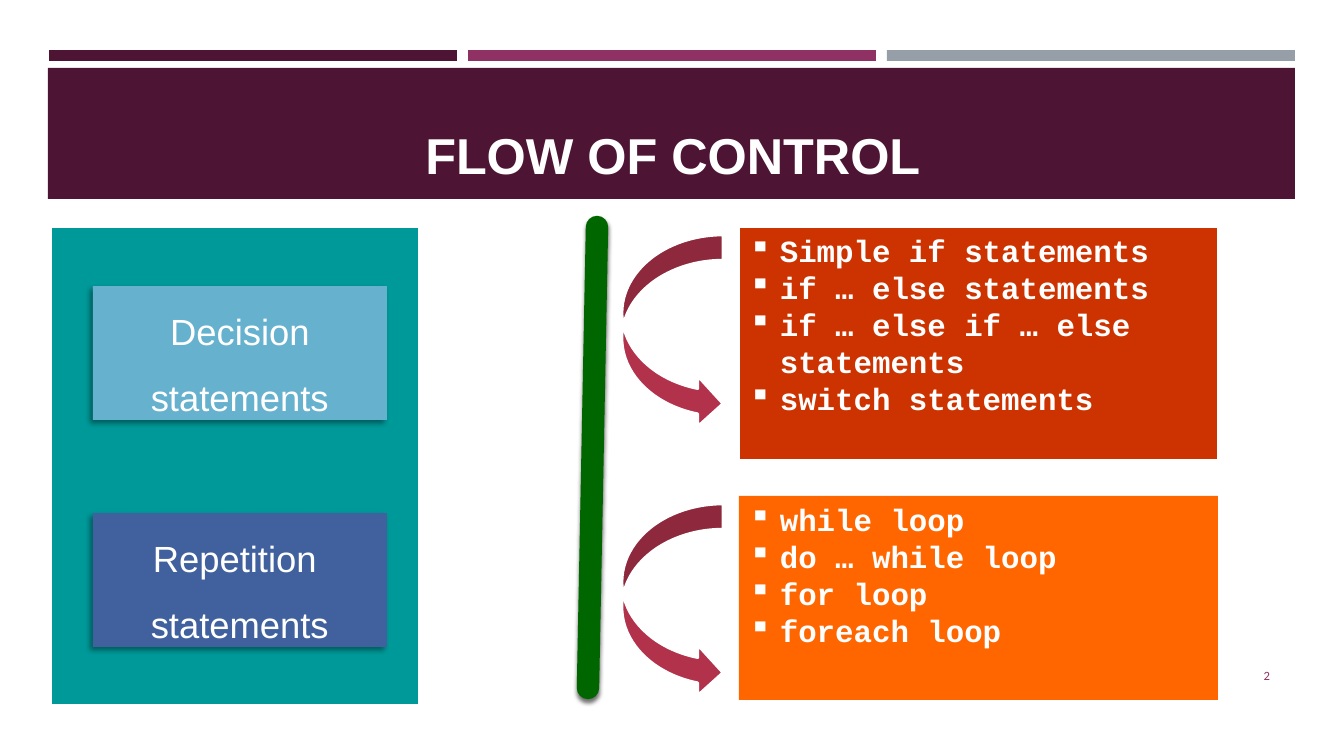
from dataclasses import dataclass

import pptx
import pptx.dml.color
import pptx.enum.shapes
import pptx.enum.text
import pptx.oxml
import pptx.oxml.ns
import pptx.util
from lxml import etree

EMU_PER_PIXEL = 914400 / 100.8
COLORS = {
    "plum": "4D1434", "magenta": "903163", "gray": "969FA7", "white": "FFFFFF",
    "teal": "009999", "sky": "66B1CE", "blue": "40619D", "red": "CC3300",
    "orange": "FF6600", "green": "006600", "crimson": "B2324B", "black": "000000",
}
SHAPES = pptx.enum.shapes.MSO_SHAPE
ALIGN = pptx.enum.text.PP_ALIGN
ANCHOR = pptx.enum.text.MSO_ANCHOR


@dataclass
class Box:
    left: int
    top: int
    width: int
    height: int
    fill: str = ""
    outline: str = ""
    preset: SHAPES = SHAPES.RECTANGLE


@dataclass
class Style:
    font: str
    size: int
    color: str = "white"
    bold: bool = False
    align: ALIGN = ALIGN.LEFT
    anchor: ANCHOR = ANCHOR.MIDDLE
    spacing: float = 1.0
    bullet: str = ""


@dataclass
class Shadow:
    alpha: int
    blur: int
    distance: int
    angle: int


@dataclass
class Topic:
    label: Box
    words: list[str]
    panel: Box
    items: list[str]
    arrow: Box


def px(pixels: float) -> int:
    return round(pixels * EMU_PER_PIXEL)


def rgb(name: str) -> pptx.dml.color.RGBColor:
    return pptx.dml.color.RGBColor.from_string(COLORS[name])


def child(parent, tag: str, **attributes):
    element = etree.SubElement(parent, pptx.oxml.ns.qn(tag))
    for key, value in attributes.items():
        element.set(key, str(value))
    return element


def draw_box(slide, box: Box):
    shape = slide.shapes.add_shape(
        box.preset, px(box.left), px(box.top), px(box.width), px(box.height))
    shape.shadow.inherit = False
    shape.fill.solid()
    shape.fill.fore_color.rgb = rgb(box.fill)
    if box.outline:
        shape.line.color.rgb = rgb(box.outline)
        shape.line.width = pptx.util.Pt(2)
    else:
        shape.line.fill.background()
    return shape


def draw_text_box(slide, box: Box):
    return slide.shapes.add_textbox(
        px(box.left), px(box.top), px(box.width), px(box.height))


def write(shape, lines: list[str], style: Style) -> None:
    frame = shape.text_frame
    frame.word_wrap = True
    frame.vertical_anchor = style.anchor
    frame.text = "\n".join(lines)
    for paragraph in frame.paragraphs:
        paragraph.alignment = style.align
        paragraph.line_spacing = style.spacing
        paragraph.font.name = style.font
        paragraph.font.size = pptx.util.Pt(style.size)
        paragraph.font.bold = style.bold
        paragraph.font.color.rgb = rgb(style.color)
        if style.bullet:
            properties = paragraph._p.get_or_add_pPr()
            properties.set("marL", str(px(31)))
            properties.set("indent", str(-px(31)))
            bullet = child(properties, "a:buChar", char=style.bullet)
            properties.find(pptx.oxml.ns.qn("a:defRPr")).addprevious(bullet)


def cast_shadow(shape, shadow: Shadow) -> None:
    properties = shape._element.spPr
    effects = properties.find(pptx.oxml.ns.qn("a:effectLst"))
    if effects is None:
        effects = child(properties, "a:effectLst")
    outer = child(effects, "a:outerShdw", blurRad=pptx.util.Pt(shadow.blur),
                  dist=pptx.util.Pt(shadow.distance), dir=shadow.angle * 60000,
                  algn="ctr", rotWithShape=0)
    color = child(outer, "a:srgbClr", val=COLORS["black"])
    child(color, "a:alpha", val=shadow.alpha * 1000)


def draw_divider(slide) -> None:
    divider = slide.shapes.add_connector(
        pptx.enum.shapes.MSO_CONNECTOR.STRAIGHT, px(597), px(227), px(588), px(688))
    divider.line.color.rgb = rgb("green")
    divider.line.width = pptx.util.Pt(16)
    divider.line._get_or_add_ln().set("cap", "rnd")
    cast_shadow(divider, Shadow(55, 3, 2, 90))


TITLE = Style("Arial", 36, bold=True, align=ALIGN.CENTER, anchor=ANCHOR.BOTTOM)
PAGE_NUMBER = Style("Calibri", 9, "magenta", align=ALIGN.RIGHT)
LABEL = Style("Arial", 26, align=ALIGN.CENTER, spacing=1.5)
LIST = Style("Courier New", 22, bold=True, anchor=ANCHOR.TOP, bullet="▪")

TOPICS = [
    Topic(Box(93, 286, 294, 134, "sky"), ["Decision", "statements"],
          Box(739, 227, 479, 234, "red", "white"),
          ["Simple if statements", "if … else statements",
           "if … else if … else statements", "switch statements"],
          Box(622, 235, 101, 194, "crimson", "white", SHAPES.CURVED_RIGHT_ARROW)),
    Topic(Box(93, 513, 294, 134, "blue"), ["Repetition ", "statements"],
          Box(739, 496, 479, 204, "orange"),
          ["while loop", "do … while loop", "for loop", "foreach loop"],
          Box(622, 504, 101, 194, "crimson", "white", SHAPES.CURVED_RIGHT_ARROW)),
]

deck = pptx.Presentation()
deck.slide_width, deck.slide_height = px(1344), px(756)
slide = deck.slides.add_slide(deck.slide_layouts[6])

# Header stripes and title band
for column, color in enumerate(["plum", "magenta", "gray"]):
    draw_box(slide, Box(49 + 419 * column, 50, 408, 11, color))
draw_box(slide, Box(48, 68, 1247, 131, "plum"))
write(draw_text_box(slide, Box(65, 78, 1216, 112)), ["FLOW OF CONTROL"], TITLE)

# Statement kinds with their lists
draw_box(slide, Box(51, 227, 369, 478, "teal", "white"))
for topic in TOPICS:
    label = draw_box(slide, topic.label)
    cast_shadow(label, Shadow(40, 4, 3, 135))
    write(label, topic.words, LABEL)
    write(draw_box(slide, topic.panel), topic.items, LIST)

# Divider and arrows
draw_divider(slide)
for topic in TOPICS:
    draw_box(slide, topic.arrow)

# Page number
write(draw_text_box(slide, Box(1164, 656, 116, 40)), ["2"], PAGE_NUMBER)

deck.save("out.pptx")
